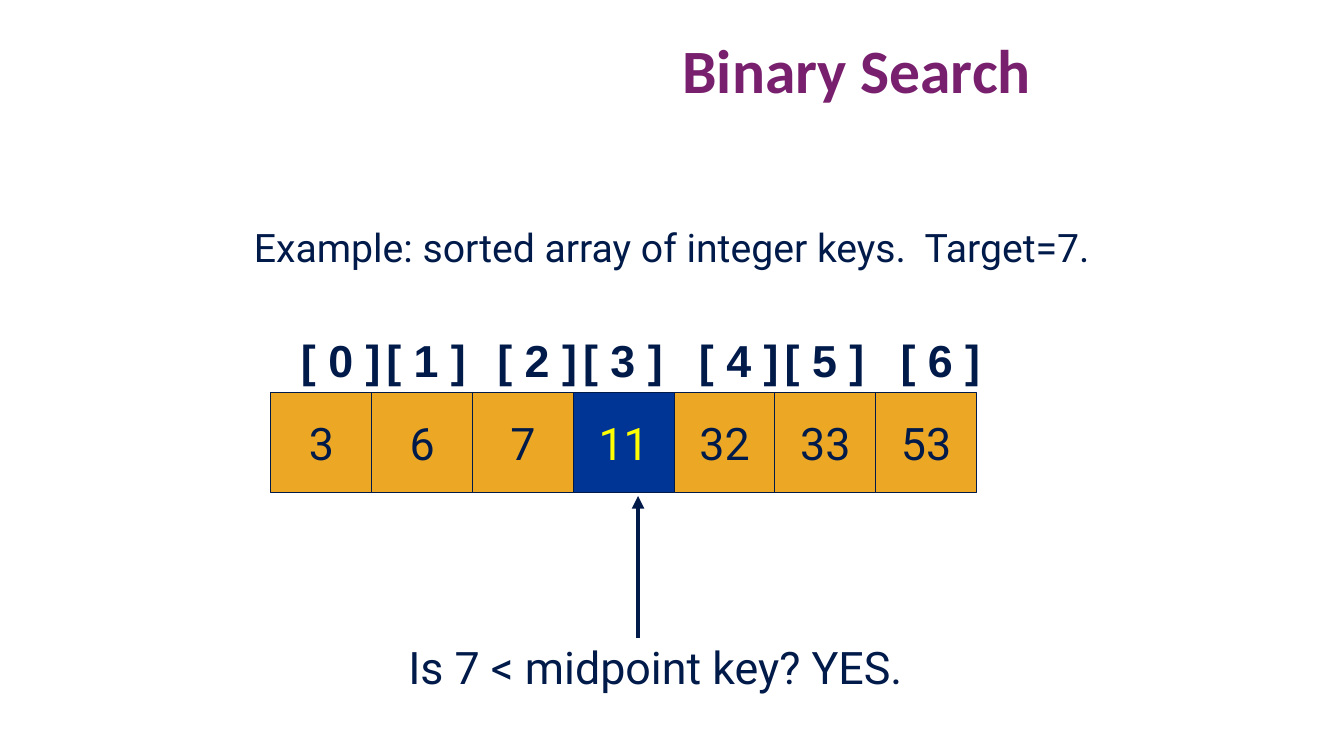
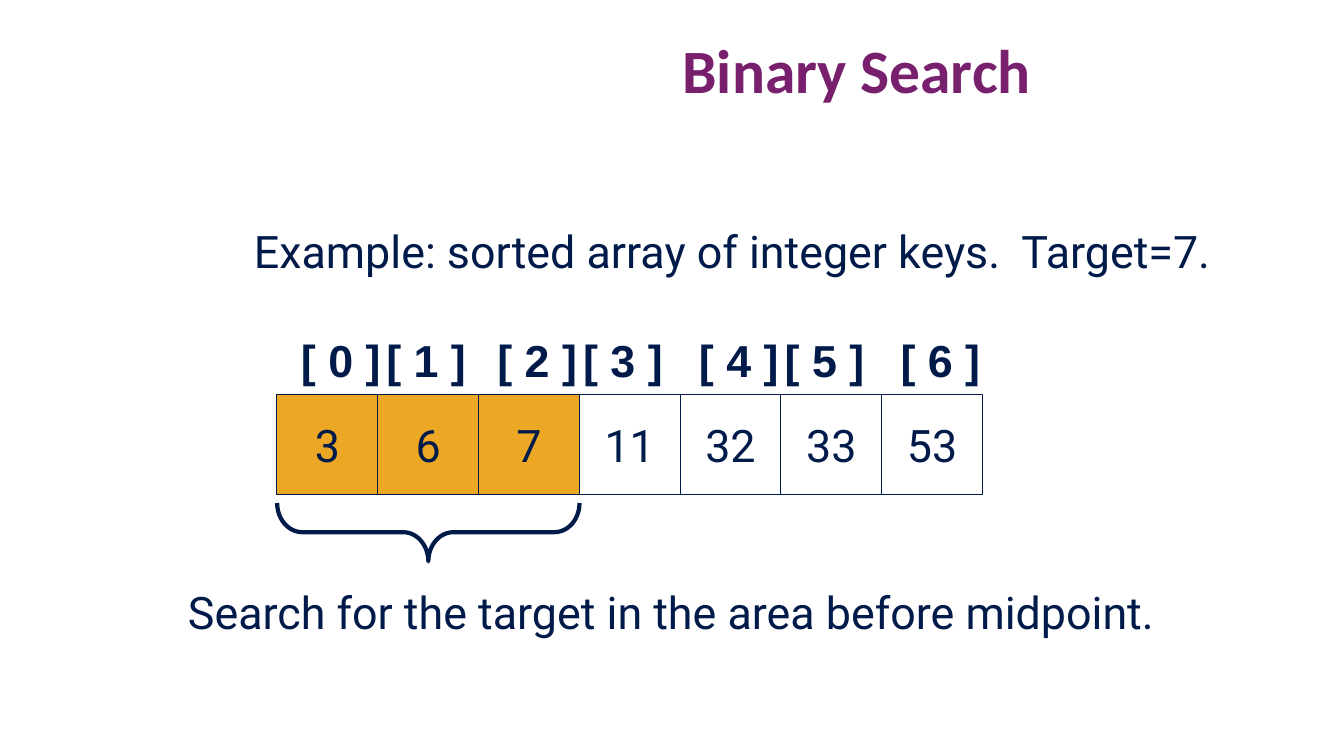
from dataclasses import dataclass

from lxml.etree import SubElement
from pptx import Presentation
from pptx.dml.color import RGBColor
from pptx.enum.shapes import MSO_CONNECTOR, MSO_SHAPE
from pptx.enum.text import MSO_ANCHOR, PP_ALIGN
from pptx.oxml.ns import qn
from pptx.util import Cm, Pt

NAVY = RGBColor(0x00, 0x1A, 0x4A)
PURPLE = RGBColor(0x78, 0x20, 0x6E)
AMBER = RGBColor(0xEC, 0xA8, 0x25)
BLUE = RGBColor(0x00, 0x35, 0x95)
YELLOW = RGBColor(0xFF, 0xFF, 0x00)
WHITE = RGBColor(0xFF, 0xFF, 0xFF)

KEYS = (3, 6, 7, 11, 32, 33, 53)
CELL = 2.54  # side of an array cell, in cm
INDEX_LEFTS = (7.32, 9.47, 12.27, 14.43, 17.35, 19.51, 22.43)


@dataclass(frozen=True)
class Style:
    size: int = 32
    font: str = "Roboto"
    color: RGBColor = NAVY
    bold: bool = False
    align: PP_ALIGN = PP_ALIGN.CENTER
    anchor: MSO_ANCHOR = MSO_ANCHOR.TOP
    spacing: float = 1.0


@dataclass(frozen=True)
class Box:
    left: float
    top: float
    width: float
    height: float

    def lengths(self) -> tuple:
        return Cm(self.left), Cm(self.top), Cm(self.width), Cm(self.height)


@dataclass(frozen=True)
class Step:
    """One stage of the search; the fills follow the keys in order."""
    example_size: int
    array_left: float
    array_top: float
    fills: tuple
    caption: str
    caption_box: Box


TITLE = Style(44, "Calibri", PURPLE, True, PP_ALIGN.LEFT, MSO_ANCHOR.BOTTOM, 0.9)
INDEX = Style(font="Arial", bold=True)

MIDPOINT = Step(28, 6.83, 9.88, (AMBER,) * 3 + (BLUE,) + (AMBER,) * 3,
                "Is 7 < midpoint key? YES.", Box(9.96, 16, 13.13, 1.63))
LOWER_HALF = Step(32, 6.98, 9.93, (AMBER,) * 3 + (WHITE,) * 4,
                  "Search for the target in the area before midpoint.",
                  Box(4.34, 14.6, 25.17, 1.63))


def write(tf, text: str, style: Style) -> None:
    tf.word_wrap = True
    tf.vertical_anchor = style.anchor
    tf.margin_left = tf.margin_right = 0
    p = tf.paragraphs[0]
    p.alignment = style.align
    p.line_spacing = style.spacing
    r = p.add_run()
    r.text = text
    r.font.size = Pt(style.size)
    r.font.name = style.font
    r.font.bold = style.bold
    r.font.color.rgb = style.color


def add_text(s, box: Box, text: str, style: Style) -> None:
    write(s.shapes.add_textbox(*box.lengths()).text_frame, text, style)


def add_cell(s, box: Box, key: int, fill: RGBColor) -> None:
    sp = s.shapes.add_shape(MSO_SHAPE.RECTANGLE, *box.lengths())
    sp.shadow.inherit = False
    sp.fill.solid()
    sp.fill.fore_color.rgb = fill
    sp.line.color.rgb = NAVY
    sp.line.width = Pt(0.75)
    color = YELLOW if fill == BLUE else NAVY
    write(sp.text_frame, str(key), Style(color=color, anchor=MSO_ANCHOR.MIDDLE))


def add_arrow(s, x: float, start: float, end: float) -> None:
    arrow = s.shapes.add_connector(MSO_CONNECTOR.STRAIGHT,
                                   Cm(x), Cm(start), Cm(x), Cm(end))
    arrow.line.color.rgb = NAVY
    arrow.line.width = Pt(3)
    SubElement(arrow.line._get_or_add_ln(), qn("a:tailEnd"), type="triangle")
    SubElement(arrow._element.spPr, qn("a:effectLst"))


def add_brace(s, box: Box) -> None:
    brace = s.shapes.add_shape(MSO_SHAPE.LEFT_BRACE, *box.lengths())
    brace.rotation = 270
    brace.adjustments[0] = 0.43
    brace.adjustments[1] = 0.5
    brace.shadow.inherit = False
    brace.fill.background()
    brace.line.color.rgb = NAVY
    brace.line.width = Pt(3)


def add_step(prs, step: Step):
    s = prs.slides.add_slide(prs.slide_layouts[6])

    # Title and example
    add_text(s, Box(17.2, 0.81, 16.4, 2.01), "Binary Search", TITLE)
    add_text(s, Box(6.4, 5.51, 25, 1.63),
             "Example: sorted array of integer keys.  Target=7.",
             Style(step.example_size, align=PP_ALIGN.LEFT))

    # Array cells with their indexes
    for i, (key, fill) in enumerate(zip(KEYS, step.fills)):
        left = step.array_left + i * CELL
        add_cell(s, Box(left, step.array_top, CELL, CELL), key, fill)
    for i, left in enumerate(INDEX_LEFTS):
        add_text(s, Box(left, 8.26, CELL, 1.63), f"[ {i} ]", INDEX)

    # Caption
    add_text(s, step.caption_box, step.caption, Style())
    return s


def main() -> None:
    prs = Presentation()
    prs.slide_width, prs.slide_height = Cm(33.87), Cm(19.05)

    # Compare with the midpoint
    s = add_step(prs, MIDPOINT)
    add_arrow(s, 16.08, 16.08, 12.5)

    # Continue in the lower half
    s = add_step(prs, LOWER_HALF)
    add_brace(s, Box(10.06, 9.6, 1.47, 3 * CELL))

    prs.save("out.pptx")


if __name__ == "__main__":
    main()
